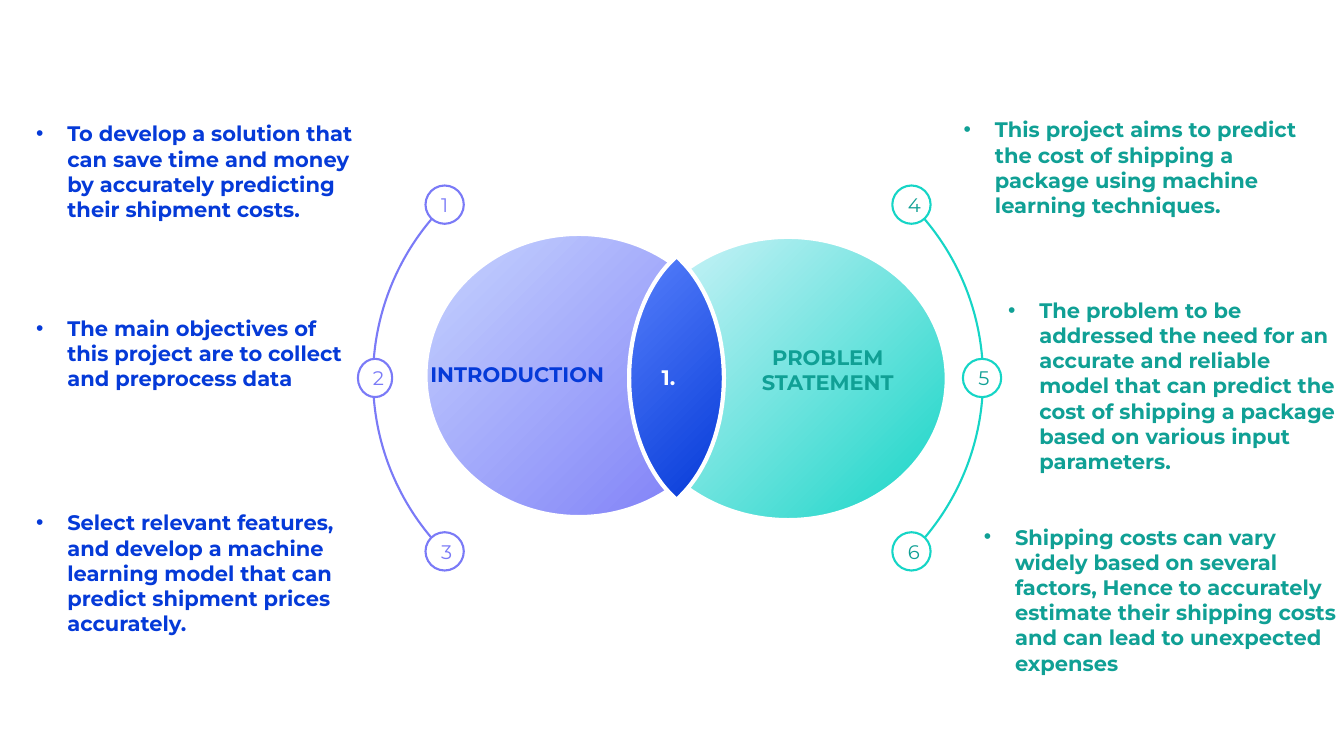
from dataclasses import dataclass

from pptx import Presentation
from pptx.dml.color import RGBColor
from pptx.enum.shapes import MSO_SHAPE
from pptx.enum.text import MSO_ANCHOR, MSO_AUTO_SIZE, PP_ALIGN
from pptx.oxml import parse_xml
from pptx.oxml.ns import nsdecls, qn
from pptx.util import Inches, Pt

HUES = {
    "white": "FFFFFF", "blue": "053AD8", "sky": "567FFB",
    "violet": "7A7AF7", "lilac": "C7D4FE",
    "teal": "15D5C6", "mint": "D7F4FB", "green": "10A095",
}
FONT = "Montserrat"
Box = tuple[float, float, float, float]


@dataclass
class Side:
    arc: Box
    flip: bool
    oval: Box
    pale: str
    line: str
    mark: str


@dataclass
class Badge:
    num: str
    box: Box


@dataclass
class Label:
    text: str
    box: Box
    hue: str
    wrap: bool


@dataclass
class Note:
    text: str
    box: Box
    hue: str


LEFT = Side((3.7, 1.31, 4.89, 4.89), True, (4.22, 2.32, 3.04, 2.81), "lilac", "violet", "violet")
RIGHT = Side((4.86, 1.31, 4.89, 4.89), False, (6.24, 2.35, 3.15, 2.81), "mint", "teal", "green")
ROWS = (1.84, 3.56, 5.28)
BADGES = (
    (LEFT, 1, ((4.22, 0.38), (3.55, 0.34), (4.22, 0.38))),
    (RIGHT, 4, ((8.85, 0.38), (9.55, 0.38), (8.85, 0.38))),
)
LABELS = (
    Label("INTRODUCTION", (4.16, 3.54, 1.94, 0.35), "blue", False),
    Label("PROBLEM STATEMENT", (7.2, 3.36, 2.02, 0.61), "green", True),
    Label("1.", (6.46, 3.57, 0.34, 0.35), "white", False),
)
NOTES = (
    Note("To develop a solution that can save time and money by accurately predicting "
         "their shipment costs.", (0.26, 1.15, 3.4, 1.11), "blue"),
    Note("The main objectives of this project are to collect and preprocess data",
         (0.26, 3.08, 3.37, 0.86), "blue"),
    Note("Select relevant features, and develop a machine learning model that can "
         "predict shipment prices accurately.", (0.26, 5.01, 3.4, 1.36), "blue"),
    Note("This project aims to predict the cost of shipping a package using machine "
         "learning techniques.", (9.46, 1.11, 3.62, 1.11), "green"),
    Note("The problem to be addressed the need for an accurate and reliable model that "
         "can predict the cost of shipping a package based on various input parameters.",
         (9.9, 2.9, 3.51, 1.87), "green"),
    Note("Shipping costs can vary widely based on several factors, Hence to accurately "
         "estimate their shipping costs and can lead to unexpected expenses",
         (9.66, 5.15, 3.76, 1.62), "green"),
)


def tint(name: str) -> RGBColor:
    return RGBColor.from_string(HUES[name])


def place(box: Box) -> list[int]:
    return [Inches(v) for v in box]


def write(shape, text: str, *, hue: str, size: float = 15, bold: bool = True,
          wrap: bool = True, dot: bool = False, grow: bool = True) -> None:
    frame = shape.text_frame
    frame.word_wrap = wrap
    if grow:
        frame.auto_size = MSO_AUTO_SIZE.SHAPE_TO_FIT_TEXT
    frame.vertical_anchor = MSO_ANCHOR.TOP if dot else MSO_ANCHOR.MIDDLE
    para = frame.paragraphs[0]
    para.alignment = PP_ALIGN.LEFT if dot else PP_ALIGN.CENTER
    if dot:
        props = para._p.get_or_add_pPr()
        props.set("marL", str(Inches(0.31)))
        props.set("indent", str(Inches(-0.31)))
        props.append(parse_xml(f'<a:buFont {nsdecls("a")} typeface="Arial"/>'))
        props.append(parse_xml(f'<a:buChar {nsdecls("a")} char="•"/>'))
    run = para.add_run()
    run.text = text
    run.font.name = FONT
    run.font.size = Pt(size)
    run.font.bold = bold
    run.font.color.rgb = tint(hue)


def edge(shape, hue: str, width: float) -> None:
    shape.shadow.inherit = False
    shape.line.color.rgb = tint(hue)
    shape.line.width = Pt(width)


def blend(shape, start: str, end: str) -> None:
    shape.fill.background()
    props = shape._element.spPr
    grad = parse_xml(
        f'<a:gradFill {nsdecls("a")} rotWithShape="1"><a:gsLst>'
        f'<a:gs pos="0"><a:srgbClr val="{HUES[start]}"/></a:gs>'
        f'<a:gs pos="100000"><a:srgbClr val="{HUES[end]}"/></a:gs></a:gsLst>'
        '<a:path path="circle"><a:fillToRect r="100000" b="100000"/></a:path></a:gradFill>')
    props.replace(props.find(qn("a:noFill")), grad)
    edge(shape, "white", 3)


def draw_side(shapes, side: Side) -> None:
    arc = shapes.add_shape(MSO_SHAPE.ARC, *place(side.arc))
    arc.adjustments[0] = 189.223
    arc.adjustments[1] = 26.788
    if side.flip:
        arc._element.spPr.xfrm.set("flipH", "1")
    arc.fill.background()
    edge(arc, side.line, 1.5)
    blend(shapes.add_shape(MSO_SHAPE.OVAL, *place(side.oval)), side.pale, side.line)


def draw_badge(shapes, badge: Badge, side: Side) -> None:
    disc = shapes.add_shape(MSO_SHAPE.OVAL, *place(badge.box))
    disc.fill.solid()
    disc.fill.fore_color.rgb = tint("white")
    edge(disc, side.line, 1.5)
    write(disc, badge.num, hue=side.mark, size=14, bold=False, grow=False)


def draw_lens(shapes) -> None:
    knots = ((0.05, -1.16), (0.3, -0.91), (0.47, -0.48), (0.47, 0))
    steps = 16
    arm = [(0.0, -1.21)]
    for step in range(steps + 1):
        t = step / steps
        parts = ((1 - t) ** 3, 3 * t * (1 - t) ** 2, 3 * t * t * (1 - t), t ** 3)
        arm.append((sum(p * k[0] for p, k in zip(parts, knots)),
                    sum(p * k[1] for p, k in zip(parts, knots))))
    half = arm + [(x, -y) for x, y in arm[-2::-1]]
    ring = half + [(-x, y) for x, y in half[-2:0:-1]]
    spots = [(Inches(6.71 + x), Inches(3.75 + y)) for x, y in ring]
    pen = shapes.build_freeform(*spots[0])
    pen.add_line_segments(spots[1:], close=True)
    blend(pen.convert_to_shape(), "sky", "blue")


def main() -> None:
    deck = Presentation()
    deck.slide_width, deck.slide_height = Inches(13.33), Inches(7.5)
    shapes = deck.slides.add_slide(deck.slide_layouts[6]).shapes
    for side, first, spots in BADGES:
        draw_side(shapes, side)
        for num, ((x, width), y) in enumerate(zip(spots, ROWS), first):
            draw_badge(shapes, Badge(str(num), (x, y, width, 0.38)), side)
    draw_lens(shapes)
    for label in LABELS:
        write(shapes.add_textbox(*place(label.box)), label.text, hue=label.hue, wrap=label.wrap)
    for note in NOTES:
        write(shapes.add_textbox(*place(note.box)), note.text, hue=note.hue, dot=True)
    deck.save("out.pptx")


if __name__ == "__main__":
    main()
